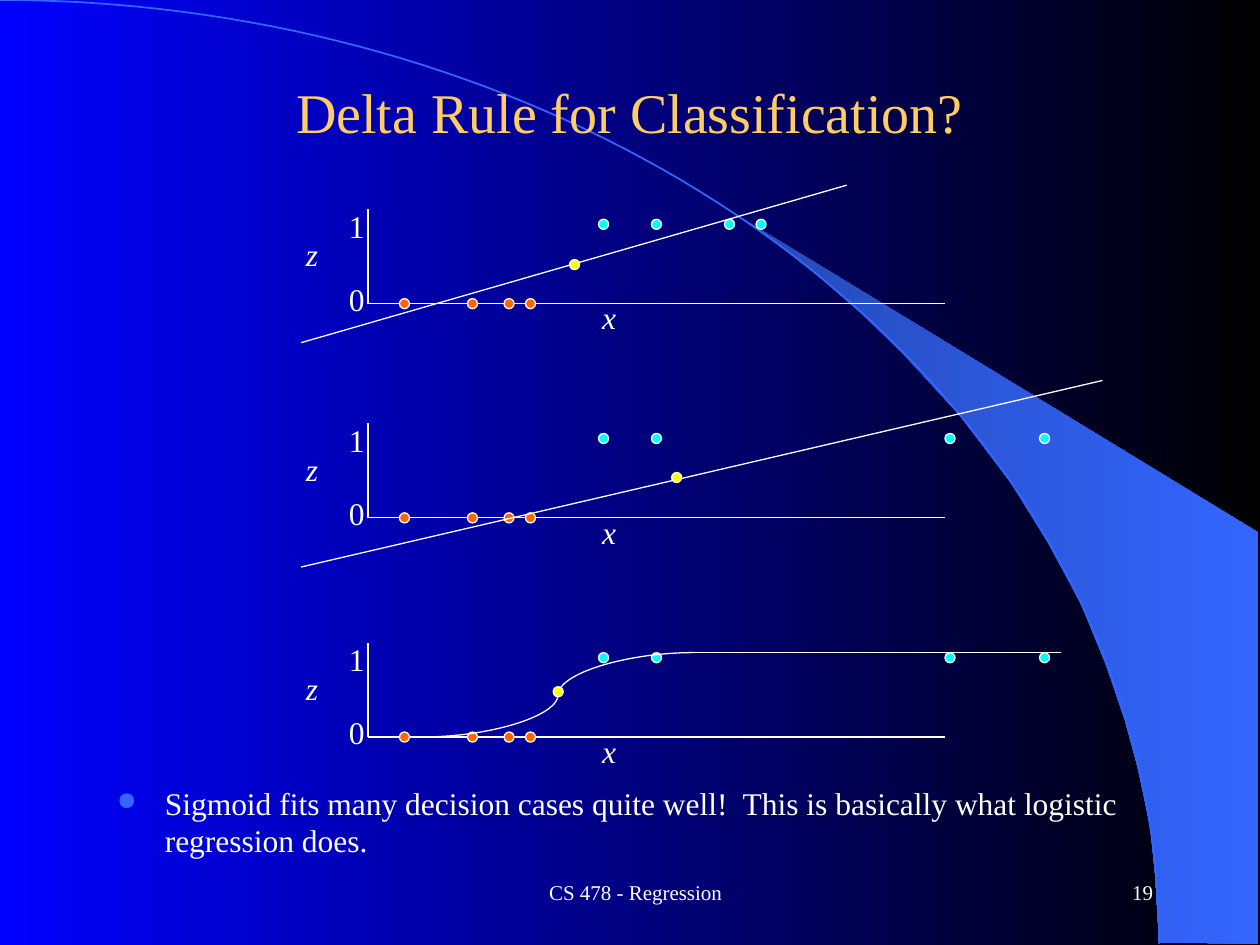
from math import cos, pi, sin

from lxml.etree import SubElement
from pptx import Presentation
from pptx.dml.color import RGBColor
from pptx.enum.shapes import MSO_CONNECTOR as Link, MSO_SHAPE as Shape
from pptx.enum.text import MSO_ANCHOR as Anchor, MSO_AUTO_SIZE as Fit, PP_ALIGN as Align
from pptx.oxml.ns import qn
from pptx.util import Inches, Pt

BLUE = RGBColor(0x00, 0x00, 0xFF)
BLACK = RGBColor(0x00, 0x00, 0x00)
DEEP = RGBColor(0x24, 0x49, 0xB6)
SKY = RGBColor(0x33, 0x66, 0xFF)
GOLD = RGBColor(0xFF, 0xCC, 0x66)
WHITE = RGBColor(0xFF, 0xFF, 0xFF)
CYAN = RGBColor(0x00, 0xFF, 0xFF)
ORANGE = RGBColor(0xFF, 0x66, 0x00)
YELLOW = RGBColor(0xFF, 0xFF, 0x00)


class Deck:
    font = "Times New Roman"
    thin = Pt(0.75)
    dot_size = 0.08

    def __init__(self, slide):
        self.slide = slide
        self.shapes = slide.shapes

    def blend(self, fill, first, last):
        fill.gradient()
        fill.gradient_angle = 0
        for stop, color in zip(fill.gradient_stops, (first, last)):
            stop.color.rgb = color

    def style(self, frame, text, size, color=WHITE, align=Align.LEFT, italic=False):
        frame.text = text
        para = frame.paragraphs[0]
        para.alignment = align
        font = para.font
        font.name, font.size, font.italic = self.font, Pt(size), italic
        font.color.rgb = color
        return para

    def title(self, text, left, top, width, height):
        box = self.shapes.title
        box.left, box.top = Inches(left), Inches(top)
        box.width, box.height = Inches(width), Inches(height)
        box.text_frame.vertical_anchor = Anchor.MIDDLE
        self.style(box.text_frame, text, 32, GOLD, Align.CENTER)
        # Bring the title in front of the backdrop
        self.shapes._spTree.append(box._element)

    def text(self, text, left, top, width, height, size=12, align=Align.LEFT,
             anchor=Anchor.MIDDLE):
        box = self.shapes.add_textbox(*map(Inches, (left, top, width, height)))
        frame = box.text_frame
        frame.word_wrap = True
        frame.vertical_anchor = anchor
        return self.style(frame, text, size, align=align)

    def bullet(self, text, left, top, width, height):
        para = self.text(text, left, top, width, height, 18, anchor=Anchor.TOP)
        para.space_before = Pt(3.6)
        props = para._p.get_or_add_pPr()
        props.set("marL", str(Inches(0.38)))
        props.set("indent", str(-Inches(0.38)))
        color = SubElement(props, qn("a:buClr"))
        SubElement(color, qn("a:srgbClr"), val=str(SKY))
        SubElement(props, qn("a:buSzPct"), val="80000")
        SubElement(props, qn("a:buChar"), char="●")

    def label(self, text, left, top, width, italic=False):
        box = self.shapes.add_textbox(*map(Inches, (left, top, width, 0.4)))
        box.text_frame.word_wrap = False
        box.text_frame.auto_size = Fit.SHAPE_TO_FIT_TEXT
        self.style(box.text_frame, text, 18, italic=italic)

    def line(self, x1, y1, x2, y2, kind=Link.STRAIGHT):
        link = self.shapes.add_connector(kind, *map(Inches, (x1, y1, x2, y2)))
        link.line.color.rgb = WHITE
        link.line.width = self.thin
        SubElement(link._element.spPr, qn("a:effectLst"))

    def dot(self, left, top, color):
        size = self.dot_size
        dot = self.shapes.add_shape(Shape.OVAL, *map(Inches, (left, top, size, size)))
        dot.shadow.inherit = False
        dot.fill.solid()
        dot.fill.fore_color.rgb = color
        dot.line.color.rgb = WHITE
        dot.line.width = self.thin

    def outline(self, points, close):
        first, *rest = [(Inches(x), Inches(y)) for x, y in points]
        pen = self.shapes.build_freeform(*first, scale=1.0)
        pen.add_line_segments(rest, close=close)
        shape = pen.convert_to_shape()
        shape.shadow.inherit = False
        return shape

    def plot(self, base, highs):
        """Axes, labels and class points, all placed from the x axis."""
        self.line(2.92, base, 7.5, base)
        self.line(2.92, base, 2.92, base - 0.75)
        self.label("x", 4.68, base - 0.09, 0.4, italic=True)
        self.label("z", 2.33, base - 0.59, 0.39, italic=True)
        self.label("0", 2.67, base - 0.24, 0.33)
        self.label("1", 2.67, base - 0.82, 0.33)
        for left in highs:
            self.dot(left, base - 0.67, CYAN)
        for left in (3.17, 3.71, 4, 4.17):
            self.dot(left, base - 0.04, ORANGE)


def main():
    prs = Presentation()
    prs.slide_width, prs.slide_height = Inches(10), Inches(7.5)
    slide = prs.slides.add_slide(prs.slide_layouts[5])
    deck = Deck(slide)

    # Backdrop: gradient, beam and quarter-ellipse arc
    deck.blend(slide.background.fill, BLUE, BLACK)
    beam = deck.outline([
        (9.2, 7.48), (9.99, 7.49), (9.99, 4.23), (5.89, 1.73), (6.24, 1.99),
        (6.53, 2.22), (6.85, 2.5), (7.16, 2.8), (7.62, 3.3), (8.03, 3.84),
        (8.32, 4.31), (8.58, 4.79), (8.78, 5.28), (8.93, 5.72), (9.03, 6.09),
        (9.13, 6.56), (9.17, 6.96)], close=True)
    deck.blend(beam.fill, DEEP, SKY)
    beam.line.fill.background()

    steps = 80
    turns = [pi / 2 * i / steps for i in range(steps + 1)]
    arc = deck.outline([(9.2 * sin(t), 7.49 * (1 - cos(t))) for t in turns], close=False)
    arc.fill.background()
    arc.line.color.rgb = SKY
    arc.line.width = Pt(1)

    # Title, bullet and footer
    deck.title("Delta Rule for Classification?", 0.75, 0.42, 8.5, 0.92)
    deck.bullet("Sigmoid fits many decision cases quite well!  This is basically "
                "what logistic regression does.", 0.83, 6.17, 8.5, 0.67)
    deck.text("CS 478 - Regression", 3.17, 6.83, 3.75, 0.5, align=Align.CENTER)
    deck.text("19", 7.17, 6.83, 2.08, 0.5, align=Align.RIGHT)

    # Three plots of the same data, the last two with far points
    near, far = (4.75, 5.17, 5.75, 6), (4.75, 5.17, 7.5, 8.25)
    for base, highs in ((2.41, near), (4.11, far), (5.85, far)):
        deck.plot(base, highs)

    # Fitted lines, sigmoid and decision points
    deck.line(6.72, 1.47, 2.39, 2.72)
    deck.line(8.75, 3.02, 2.39, 4.5)
    deck.line(3.35, 5.85, 5.51, 5.18, Link.CURVE)
    deck.line(5.51, 5.18, 8.42, 5.18)
    for left, top in ((4.52, 2.06), (5.33, 3.75), (4.39, 5.45)):
        deck.dot(left, top, YELLOW)

    prs.save("out.pptx")


if __name__ == "__main__":
    main()
